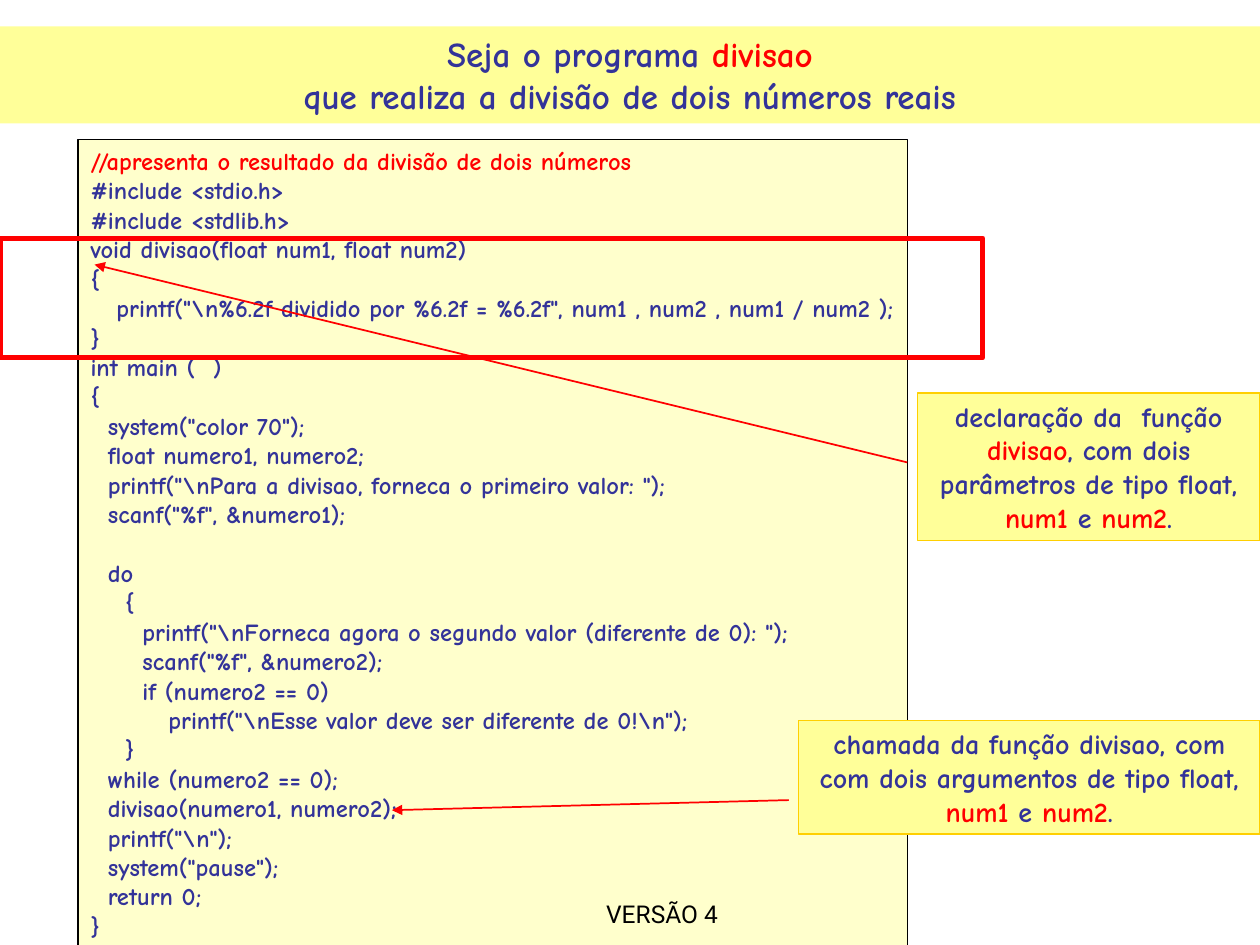
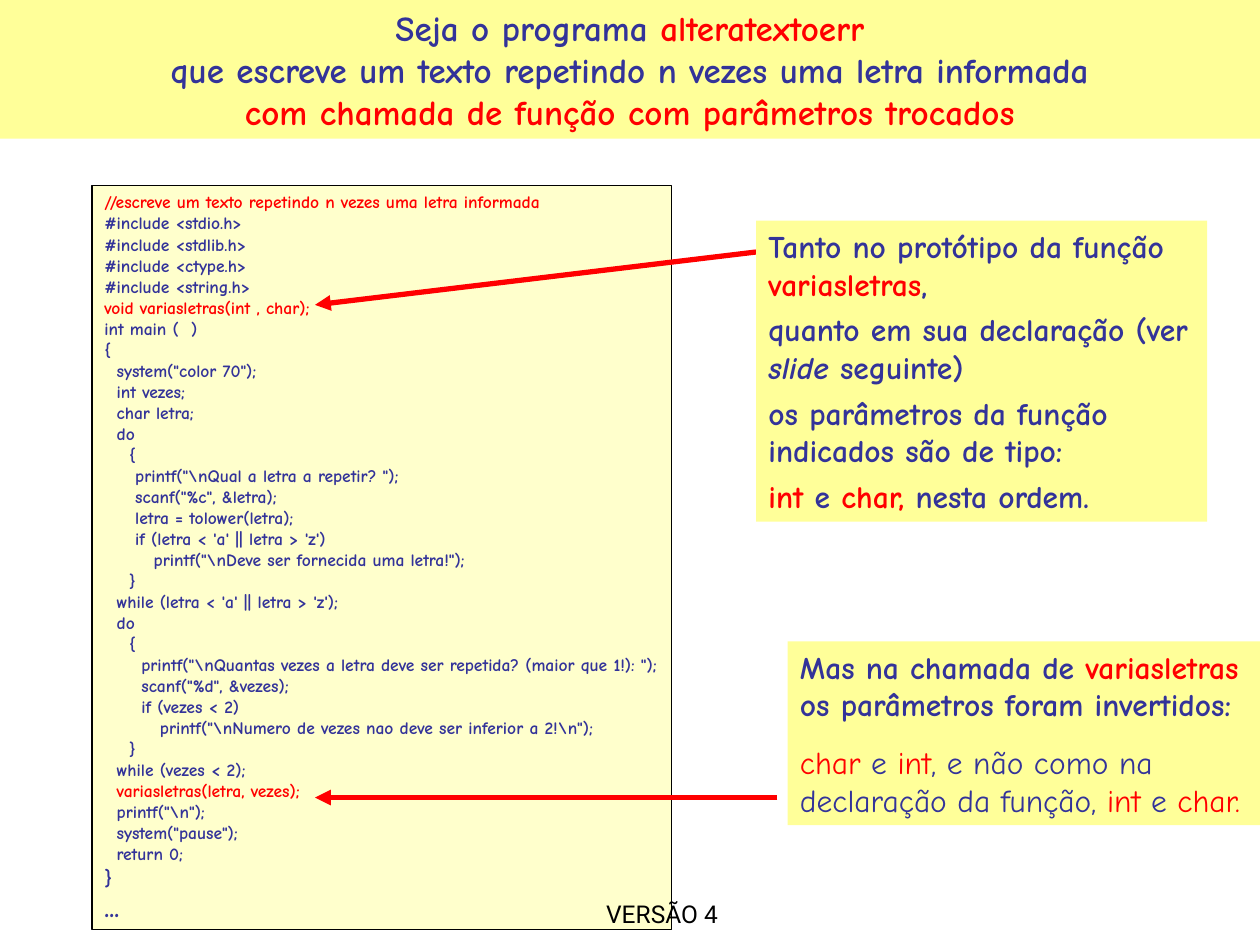
from dataclasses import dataclass
from typing import Optional

import pptx
import pptx.dml.color
import pptx.enum.shapes
import pptx.enum.text
import pptx.oxml.ns
import pptx.oxml.xmlchemy
import pptx.util
from pptx.util import Inches

COLORS = {
    "ink": "333399",
    "red": "FF0000",
    "black": "000000",
    "code": "FFFFCC",
    "band": "FFFF99",
    "gold": "FFCF01",
}
FONT = "Comic Neue"
FOOTER_FONT = "Roboto"
SPACE_WIDTH = 0.353  # width of one space, in ems
LINE_HEIGHT = 1.2  # line pitch, in ems
ALIGN = pptx.enum.text.PP_ALIGN
ANCHOR = pptx.enum.text.MSO_ANCHOR


@dataclass
class Line:
    """A paragraph; *stars* mark red words and _underscores_ italic ones."""
    text: str
    size: Optional[float] = None
    bold: bool = True
    before: float = 0
    indent: float = 0


@dataclass
class Box:
    left: float
    top: float
    width: float
    height: float
    fill: Optional[str] = None
    border: Optional[str] = None
    border_width: float = 0.75


@dataclass
class Note:
    box: Box
    lines: list[Line]
    size: float
    align: ALIGN = ALIGN.LEFT


@dataclass
class Arrow:
    start: tuple[float, float]
    end: tuple[float, float]
    width: float


@dataclass
class CodeSlide:
    title_box: Box
    title: list[Line]
    code_box: Box
    code: list[Line]
    code_size: float
    frames: list[Box]
    arrows: list[Arrow]
    notes: list[Note]


def rgb(name: str) -> pptx.dml.color.RGBColor:
    return pptx.dml.color.RGBColor.from_string(COLORS[name])


def write_text(shape, lines: list[Line], *, size: float, font: str = FONT,
               color: str = "ink", align: ALIGN = ALIGN.LEFT,
               anchor: ANCHOR = ANCHOR.TOP, wrap: bool = True) -> None:
    frame = shape.text_frame
    frame.auto_size = pptx.enum.text.MSO_AUTO_SIZE.NONE
    frame.word_wrap = wrap
    frame.vertical_anchor = anchor
    frame.margin_left = frame.margin_right = Inches(0.1)
    frame.margin_top = frame.margin_bottom = Inches(0.05)
    for number, line in enumerate(lines):
        paragraph = frame.add_paragraph() if number else frame.paragraphs[0]
        paragraph.alignment = align
        paragraph.space_before = pptx.util.Pt(line.before)
        if line.indent:
            properties = paragraph._p.get_or_add_pPr()
            properties.set("marL", str(int(pptx.util.Pt(line.indent))))
            properties.set("indent", "0")
        for red, part in enumerate(line.text.split("*")):
            for italic, words in enumerate(part.split("_")):
                if not words:
                    continue
                run = paragraph.add_run()
                run.text = words
                run.font.name = font
                run.font.size = pptx.util.Pt(line.size or size)
                run.font.bold = line.bold
                run.font.italic = italic % 2 == 1
                run.font.color.rgb = rgb("red" if red % 2 else color)


def place(shape, box: Box) -> None:
    shape.left, shape.top = Inches(box.left), Inches(box.top)
    shape.width, shape.height = Inches(box.width), Inches(box.height)
    if box.fill:
        shape.fill.solid()
        shape.fill.fore_color.rgb = rgb(box.fill)
    else:
        shape.fill.background()
    if box.border:
        shape.line.color.rgb = rgb(box.border)
        shape.line.width = pptx.util.Pt(box.border_width)
    else:
        shape.line.fill.background()


def add_box(slide, box: Box):
    shape = slide.shapes.add_shape(
        pptx.enum.shapes.MSO_SHAPE.RECTANGLE, 0, 0, 0, 0)
    shape.shadow.inherit = False
    place(shape, box)
    return shape


def add_arrow(slide, arrow: Arrow) -> None:
    connector = slide.shapes.add_connector(
        pptx.enum.shapes.MSO_CONNECTOR.STRAIGHT,
        *(Inches(value) for value in arrow.start + arrow.end))
    connector.line.color.rgb = rgb("red")
    connector.line.width = pptx.util.Pt(arrow.width)
    properties = connector._element.spPr
    head = pptx.oxml.xmlchemy.OxmlElement("a:tailEnd")
    head.set("type", "triangle")
    properties.find(pptx.oxml.ns.qn("a:ln")).append(head)
    properties.append(pptx.oxml.xmlchemy.OxmlElement("a:effectLst"))


def code_lines(source: str, size: float,
               special_sizes: Optional[dict[str, float]] = None) -> list[Line]:
    """Turn leading spaces into indents and empty lines into spacing."""
    lines, gap = [], 0.0
    for row in source.strip().splitlines():
        text = row.lstrip()
        if not text:
            gap += size * LINE_HEIGHT
            continue
        indent = (len(row) - len(text)) * size * SPACE_WIDTH
        row_size = (special_sizes or {}).get(row, size)
        lines.append(Line(text, row_size, before=gap, indent=indent))
        gap = 0.0
    return lines


def build_slide(presentation, content: CodeSlide) -> None:
    slide = presentation.slides.add_slide(presentation.slide_layouts[5])

    # Title band
    title = slide.shapes.title
    place(title, content.title_box)
    write_text(title, content.title, size=20, align=ALIGN.CENTER)

    # Program listing
    listing = add_box(slide, content.code_box)
    write_text(listing, content.code, size=content.code_size, wrap=False)

    # Frames, arrows and notes
    for frame in content.frames:
        add_box(slide, frame)
    for arrow in content.arrows:
        add_arrow(slide, arrow)
    for note in content.notes:
        write_text(add_box(slide, note.box), note.lines,
                   size=note.size, align=note.align)

    # Footer
    footer = slide.shapes.add_textbox(
        Inches(3.67), Inches(6.92), Inches(3.17), Inches(0.5))
    write_text(footer, [Line("VERSÃO 4", bold=False)], size=14,
               font=FOOTER_FONT, color="black", align=ALIGN.CENTER,
               anchor=ANCHOR.BOTTOM)


DIVISION_CODE = r"""
*//apresenta o resultado da divisão de dois números*
#include <stdio.h>
#include <stdlib.h>
void divisao(float num1, float num2)
{
   printf("\n%6.2f dividido por %6.2f = %6.2f", num1 , num2 , num1 / num2 );
}
int main (  )
{
  system("color 70");
  float numero1, numero2;
  printf("\nPara a divisao, forneca o primeiro valor: ");
  scanf("%f", &numero1);

  do
    {
      printf("\nForneca agora o segundo valor (diferente de 0): ");
      scanf("%f", &numero2);
      if (numero2 == 0)
         printf("\nEsse valor deve ser diferente de 0!\n");
    }
  while (numero2 == 0);
  divisao(numero1, numero2);
  printf("\n");
  system("pause");
  return 0;
}
"""

LETTERS_CODE = r"""
*//escreve um texto repetindo n vezes uma letra informada*
#include <stdio.h>
#include <stdlib.h>
#include <ctype.h>
#include <string.h>
*void variasletras(int , char);*
int main (  )
{
  system("color 70");
  int vezes;
  char letra;
  do
    {
     printf("\nQual a letra a repetir? ");
     scanf("%c", &letra);
     letra = tolower(letra);
     if (letra < 'a' || letra > 'z')
        printf("\nDeve ser fornecida uma letra!");
    }
  while (letra < 'a' || letra > 'z');
  do
    {
      printf("\nQuantas vezes a letra deve ser repetida? (maior que 1!): ");
      scanf("%d", &vezes);
      if (vezes < 2)
         printf("\nNumero de vezes nao deve ser inferior a 2!\n");
    }
  while (vezes < 2);
  *variasletras(letra, vezes);*
  printf("\n");
  system("pause");
  return 0;
}
...
"""

SLIDES = [
    CodeSlide(
        title_box=Box(0, 0.21, 10, 0.77, "band"),
        title=[Line("Seja o programa *divisao*"),
               Line("que realiza a divisão de dois números reais")],
        code_box=Box(0.62, 1.11, 6.58, 6.41, "code", "black"),
        code=code_lines(DIVISION_CODE, 14),
        code_size=14,
        frames=[Box(0, 1.89, 7.8, 0.95, None, "red", 3)],
        arrows=[Arrow((7.2, 3.67), (0.75, 2.1), 1),
                Arrow((6.26, 6.35), (3.11, 6.43), 1)],
        notes=[
            Note(Box(7.28, 3.12, 2.72, 1.17, "band", "gold"),
                 [Line("declaração da  função *divisao*, com dois parâmetros "
                       "de tipo float, *num1* e *num2*.", before=10)],
                 16, ALIGN.CENTER),
            Note(Box(6.34, 5.72, 3.66, 0.9, "band", "gold"),
                 [Line("chamada da função divisao, com com dois argumentos "
                       "de tipo float, *num1* e *num2*.", before=10)],
                 16, ALIGN.CENTER),
        ],
    ),
    CodeSlide(
        title_box=Box(0, 0, 10, 1.1, "band"),
        title=[Line("Seja o programa *alteratextoerr*"),
               Line("que escreve um texto repetindo n vezes uma letra informada"),
               Line("*com chamada de função com parâmetros trocados*")],
        code_box=Box(0.73, 1.47, 4.6, 5.91, "code", "black"),
        code=code_lines(LETTERS_CODE, 10, {"}": 12, "...": 16}),
        code_size=10,
        frames=[],
        arrows=[Arrow((6.17, 6.33), (2.5, 6.33), 3),
                Arrow((6, 2), (2.5, 2.42), 3)],
        notes=[
            Note(Box(6.25, 5.09, 3.75, 1.46, "band"),
                 [Line("Mas na chamada de *variasletras* os parâmetros foram "
                       "invertidos:", before=11.2),
                  Line("*char* e *int*, e não como na declaração da função, "
                       "*int *e *char.*", bold=False, before=11.2)], 18),
            Note(Box(6, 1.75, 3.58, 2.39, "band"),
                 [Line(text, before=4.5) for text in (
                     "Tanto no protótipo da função *variasletras*,",
                     "quanto em sua declaração (ver _slide_ seguinte)",
                     "os parâmetros da função indicados são de tipo:",
                     "*int* e *char, *nesta ordem.")], 18),
        ],
    ),
]


def main() -> None:
    presentation = pptx.Presentation()
    presentation.slide_width = Inches(10)
    presentation.slide_height = Inches(7.5)
    for content in SLIDES:
        build_slide(presentation, content)
    presentation.save("out.pptx")


if __name__ == "__main__":
    main()
